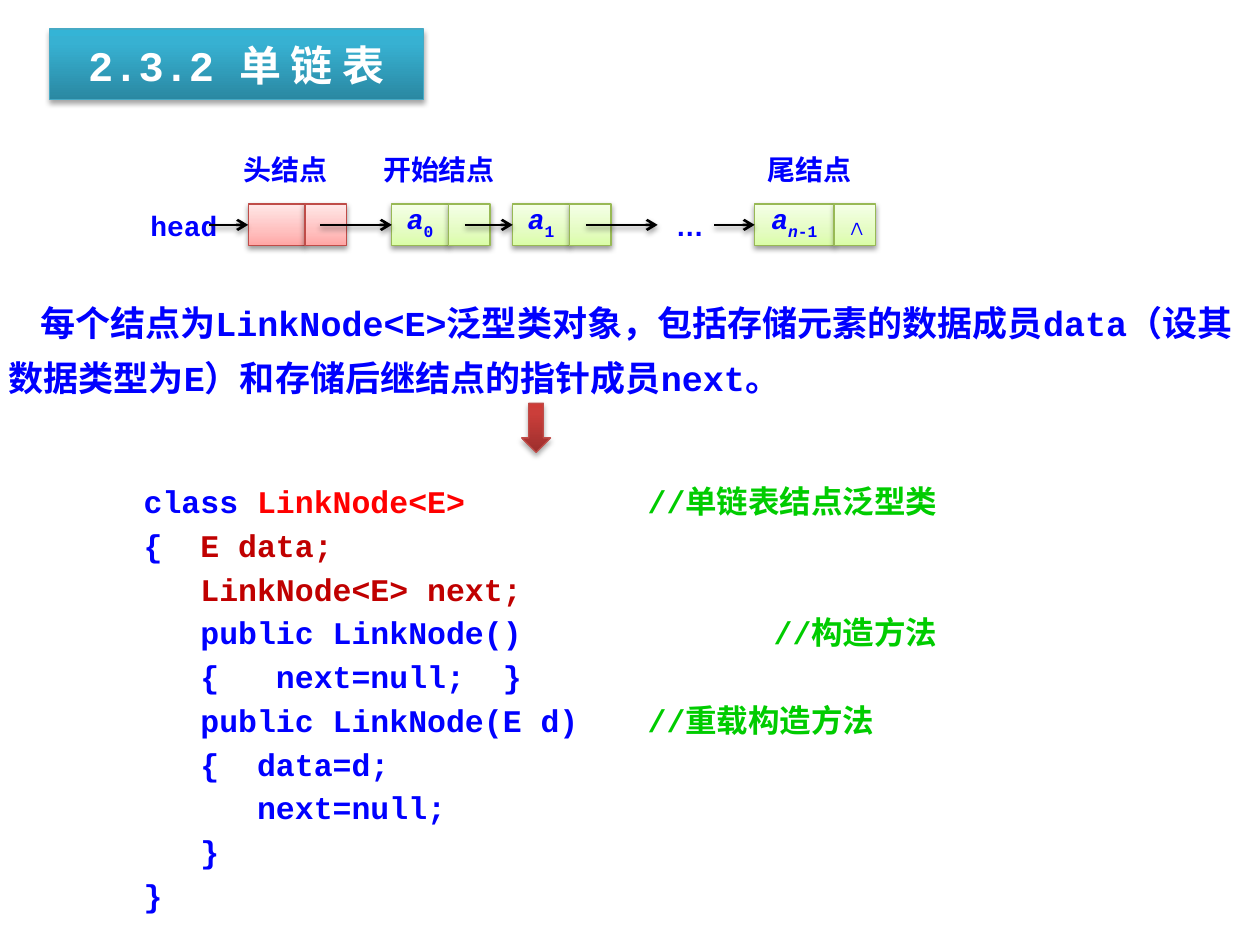
from lxml import etree
from pptx import Presentation
from pptx.dml.color import RGBColor
from pptx.enum.shapes import MSO_CONNECTOR, MSO_SHAPE
from pptx.enum.text import MSO_ANCHOR, PP_ALIGN
from pptx.oxml.ns import qn
from pptx.util import Inches, Pt

RECT, DOWN = MSO_SHAPE.RECTANGLE, MSO_SHAPE.DOWN_ARROW
LINE = MSO_CONNECTOR.STRAIGHT
LEFT, MID = PP_ALIGN.LEFT, PP_ALIGN.CENTER
TOP, MIDDLE = MSO_ANCHOR.TOP, MSO_ANCHOR.MIDDLE

MONO = "Courier New"
COLORS = {"blue": "0000FF", "red": "FF0000", "dark": "C00000", "green": "00CC00",
          "white": "FFFFFF", "black": "000000"}
# Line colour, then gradient stops from bottom to top
LOOKS = {
    "teal": ("46AAC5", [(0, "2A88A2"), (80, "37B1D2"), (100, "34B4D6")]),
    "brick": ("BF4C48", [(0, "9C2F2D"), (80, "CB3E3A"), (100, "CE3B37")]),
    "pink": ("BF4C48", [(0, "FFA6A5"), (35, "FFC0BF"), (100, "FFE7E7")]),
    "lime": ("98B955", [(0, "DAFDA7"), (35, "E4FCC2"), (100, "F5FFE7")]),
}
ROW, HIGH, LINK = 1.62, 0.33, 0.33
AXIS = 1.79

CODE = [
    [("class ", "blue"), ("LinkNode<E>\t", "red"), ("//单链表结点泛型类", "green")],
    [("{  ", "blue"), ("E data;", "dark")],
    [("   LinkNode<E> next;", "dark")],
    [("   public LinkNode()\t", "blue"), ("//构造方法", "green")],
    [("   {   next=null;  }", "blue")],
    [("   public LinkNode(E d)\t", "blue"), ("//重载构造方法", "green")],
    [("   {  data=d;", "blue")],
    [("      next=null;", "blue")],
    [("   }", "blue")],
    [("}", "blue")],
]
STOPS = {0: 4, 3: 5, 5: 4}


def rgb(name):
    return RGBColor.from_string(COLORS.get(name, name))


def sub(parent, tag, **attrs):
    return etree.SubElement(parent, qn(tag), {k: str(v) for k, v in attrs.items()})


def shade(props, alpha, dist):
    """Put a soft shadow straight below a shape."""
    effects = props.find(qn("a:effectLst"))
    if effects is None:
        effects = sub(props, "a:effectLst")
    shadow = sub(effects, "a:outerShdw", blurRad=Pt(3.1), dist=Pt(dist),
                 dir=5400000, rotWithShape=0)
    sub(sub(shadow, "a:srgbClr", val=COLORS["black"]), "a:alpha", val=alpha * 1000)


def paint(shape, look, alpha=38, dist=1.6):
    """Give a shape its gradient, outline and shadow."""
    edge, stops = LOOKS[look]
    shape.fill.gradient()
    grad = shape._element.spPr.find(qn("a:gradFill"))
    for child in list(grad):
        grad.remove(child)
    holder = sub(grad, "a:gsLst")
    for place, color in stops:
        sub(sub(holder, "a:gs", pos=place * 1000), "a:srgbClr", val=color)
    sub(grad, "a:lin", ang=270 * 60000, scaled=0)
    shape.line.color.rgb = rgb(edge)
    shape.line.width = Pt(0.75)
    shape.shadow.inherit = False
    shade(shape._element.spPr, alpha, dist)


def place(shape, left, top, width, height):
    shape.left, shape.top = Inches(left), Inches(top)
    shape.width, shape.height = Inches(width), Inches(height)


def write(shape, lines, size=16, font=MONO, align=MID, anchor=TOP,
          pad=(0, 0, 0, 0), space=None, indent=0, stops=()):
    """Fill a shape with lines of (text, colour, italic, subscript) runs."""
    frame = shape.text_frame
    frame.word_wrap = True
    frame.vertical_anchor = anchor
    (frame.margin_left, frame.margin_top,
     frame.margin_right, frame.margin_bottom) = map(Inches, pad)
    for i, line in enumerate(lines):
        para = frame.add_paragraph() if i else frame.paragraphs[0]
        para.alignment = align
        if space:
            para.line_spacing = Pt(space)
        props = para._p.get_or_add_pPr()
        if indent:
            props.set("indent", str(Inches(indent)))
        if i in stops:
            sub(sub(props, "a:tabLst"), "a:tab", pos=Inches(stops[i]), algn="l")
        for text, color, *marks in line:
            run = para.add_run()
            run.text = text
            run.font.name, run.font.size = font, Pt(size)
            run.font.bold = True
            run.font.italic = "i" in marks
            run.font.color.rgb = rgb(color)
            if "sub" in marks:
                run.font._element.set("baseline", "-30000")


def block(slide, left, top, width, height, kind=RECT):
    """Add a plain white shape."""
    shape = slide.shapes.add_shape(kind, *map(Inches, (left, top, width, height)))
    shape.fill.solid()
    shape.fill.fore_color.rgb = rgb("white")
    shape.line.fill.background()
    shape.shadow.inherit = False
    return shape


def node(slide, left, width, look, name=(), end=()):
    """Draw a data cell with its link cell; return the data cell."""
    data = block(slide, left, ROW, width, HIGH)
    link = block(slide, left + width, ROW, LINK, HIGH)
    for cell in (data, link):
        paint(cell, look)
    if name:
        write(data, [name], space=21, pad=(0.1, 0, 0.1, 0))
    if end:
        write(link, [end], space=21, pad=(0.03, 0, 0, 0))
    return data


def arrow(slide, start, goal):
    """Point from start to the left side of the goal."""
    line = slide.shapes.add_connector(LINE, Inches(start), Inches(AXIS),
                                      goal.left, Inches(AXIS))
    line.end_connect(goal, 1)
    line.begin_y = line.end_y
    line.line.color.rgb = rgb("black")
    line.line.width = Pt(1.5)
    sub(line.line._get_or_add_ln(), "a:tailEnd", type="arrow")
    shade(line._element.spPr, 38, 1.6)


def chain(slide):
    for left, width, text in ((2.52, 1.93, "开始结点"), (6.02, 0.81, "尾结点"),
                              (1.86, 0.81, "头结点")):
        write(block(slide, left, 1.21, width, 0.33), [[(text, "blue")]])

    write(block(slide, 1.17, ROW, 0.58, HIGH), [[("head", "blue")]], anchor=MIDDLE)
    dots = block(slide, 5.22, ROW, 0.51, HIGH)
    write(dots, [[("…", "blue")]], font="Arial", anchor=MIDDLE, pad=(0.1, 0, 0.1, 0))

    var = ("a", "blue", "i")
    head = node(slide, 1.97, 0.45, "pink")
    first = node(slide, 3.11, 0.45, "lime", [var, ("0", "blue", "sub")])
    second = node(slide, 4.07, 0.45, "lime", [var, ("1", "blue", "sub")])
    last = node(slide, 5.99, 0.63, "lime",
                [var, ("n", "blue", "i", "sub"), ("-1", "blue", "sub")],
                [("∧", "blue")])
    for start, goal in ((1.66, head), (2.54, first), (3.69, second),
                        (4.65, dots), (5.67, last)):
        arrow(slide, start, goal)


def main():
    deck = Presentation()
    deck.slide_width, deck.slide_height = Inches(10), Inches(7.5)
    slide = deck.slides.add_slide(deck.slide_layouts[5])

    title = slide.shapes.title
    place(title, 0.39, 0.23, 2.97, 0.56)
    paint(title, "teal", 35, 1.8)
    write(title, [[("2.3.2 单 链 表", "white")]], size=24, anchor=MIDDLE,
          pad=(0.1, 0.08, 0.1, 0.08))

    body = slide.shapes.add_textbox(*map(Inches, (-0.03, 2.25, 9.94, 0.93)))
    text = ("每个结点为LinkNode<E>泛型类对象，包括存储元素的数据成员data"
            "（设其数据类型为E）和存储后继结点的指针成员next。")
    write(body, [[(text, "blue")]], size=20, align=LEFT, space=31, indent=0.25,
          pad=(0.1, 0.05, 0.1, 0.05))

    code = block(slide, 0.94, 3.66, 7.58, 3.72)
    write(code, CODE, size=18, align=LEFT, space=25, stops=STOPS,
          pad=(0.2, 0.12, 0.1, 0.12))

    paint(block(slide, 4.14, 3.2, 0.23, 0.39, DOWN), "brick", 35, 1.8)
    chain(slide)
    deck.save("out.pptx")


if __name__ == "__main__":
    main()
